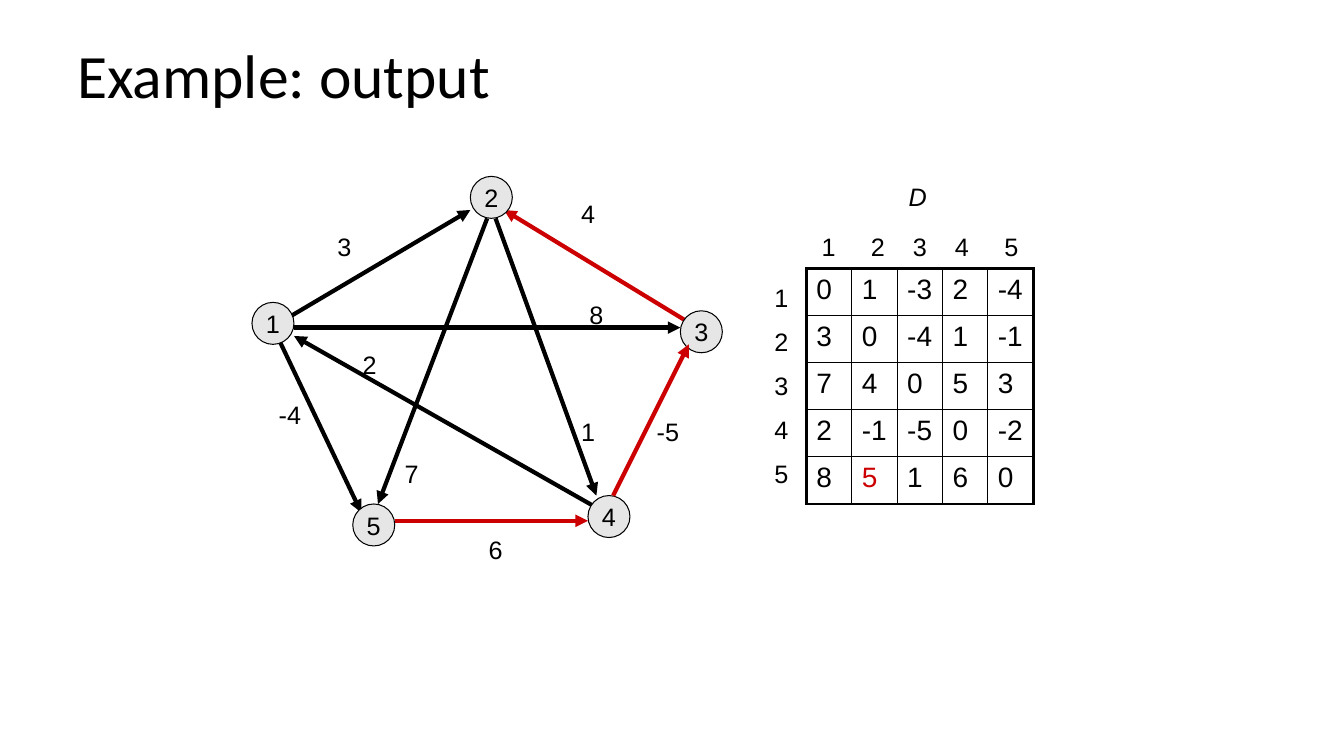
from dataclasses import dataclass
from lxml.etree import SubElement as Sub
from pptx import Presentation
from pptx.dml.color import RGBColor as Rgb
from pptx.enum.shapes import MSO_CONNECTOR as Conn, MSO_SHAPE as Kind
from pptx.enum.text import MSO_ANCHOR as Anchor, MSO_AUTO_SIZE as Fit, PP_ALIGN as Align
from pptx.oxml.ns import qn
from pptx.util import Emu, Pt


@dataclass(frozen=True)
class Theme:
    ink: str = "000000"
    red: str = "CC0000"
    node: str = "E7E6E6"
    head: str = "Calibri"
    body: str = "Arial"
    title: int = 44
    label: int = 18
    cell: int = 20
    gap: float = 9.8
    edge: float = 3
    ring: float = 0.75
    thin: float = 1
    thick: float = 2.25


T = Theme()
SIZE = 40
NODES = {2: (208, 8), 1: (0, 128), 5: (96, 320), 3: (408, 136), 4: (320, 312)}
# Each edge: start x, y, end x, y, colour
BACK = [
    (24, 160, 104, 328, T.ink),
    (424, 152, 240, 40, T.red),
    (336, 328, 40, 160, T.ink),
    (32, 144, 208, 40, T.ink),
]
FRONT = [
    (136, 336, 320, 336, T.red),
    (344, 312, 416, 168, T.red),
    (224, 48, 120, 320, T.ink),
    (232, 48, 328, 312, T.ink),
    (40, 152, 408, 152, T.ink),
]
# Each weight: text, x, y, width
WEIGHTS = [
    ("3", 72, 56, 40), ("4", 304, 24, 56), ("8", 312, 120, 40),
    ("-4", 16, 216, 56), ("6", 216, 344, 64), ("2", 96, 168, 32),
    ("1", 304, 232, 24), ("-5", 376, 232, 48), ("7", 136, 272, 32),
]
MATRIX = [
    [0, 1, -3, 2, -4],
    [3, 0, -4, 1, -1],
    [7, 4, 0, 5, 3],
    [2, -1, -5, 0, -2],
    [8, 5, 1, 6, 0],
]
FOUND = (4, 1)
STOPS = [13, 60, 100, 140, 187]


def px(n):
    return Emu(n * 9525)


def box(x, y, w, h):
    return [px(n) for n in (x, y, w, h)]


def write(para, text, size=T.label, color=T.ink, face=T.body):
    run = para.add_run()
    run.text = text
    run.font.size = Pt(size)
    run.font.name = face
    run.font.color.rgb = Rgb.from_string(color)
    return run


def label(slide, x, y, w, lines, h=38):
    frame = slide.shapes.add_textbox(*box(x, y, w, h)).text_frame
    frame.word_wrap = True
    frame.auto_size = Fit.SHAPE_TO_FIT_TEXT
    for i, line in enumerate(lines):
        para = frame.add_paragraph() if i else frame.paragraphs[0]
        para.space_before = Pt(T.gap)
        write(para, line)
    return frame.paragraphs[0]


def title(slide, x, y, w, h):
    head = slide.shapes.title
    head.left, head.top, head.width, head.height = box(x, y, w, h)
    frame = head.text_frame
    frame.auto_size = Fit.NONE
    frame.vertical_anchor = Anchor.MIDDLE
    para = frame.paragraphs[0]
    para.alignment = Align.LEFT
    para.line_spacing = 0.9
    write(para, "Example: output", T.title, face=T.head)


def arrow(slide, x1, y1, x2, y2, color):
    edge = slide.shapes.add_connector(Conn.STRAIGHT, *box(x1, y1, x2, y2))
    edge.line.color.rgb = Rgb.from_string(color)
    edge.line.width = Pt(T.edge)
    props = edge.element.spPr
    Sub(props.find(qn("a:ln")), qn("a:tailEnd"), type="triangle")
    Sub(props, qn("a:effectLst"))


def node(slide, name, x, y):
    disc = slide.shapes.add_shape(Kind.OVAL, *box(x, y, SIZE, SIZE))
    disc.shadow.inherit = False
    disc.fill.solid()
    disc.fill.fore_color.rgb = Rgb.from_string(T.node)
    disc.line.color.rgb = Rgb.from_string(T.ink)
    disc.line.width = Pt(T.ring)
    frame = disc.text_frame
    frame.word_wrap = False
    frame.vertical_anchor = Anchor.MIDDLE
    para = frame.paragraphs[0]
    para.alignment = Align.CENTER
    write(para, str(name))


def graph(slide, x, y):
    def edges(group):
        for x1, y1, x2, y2, color in group:
            arrow(slide, x + x1, y + y1, x + x2, y + y2, color)

    edges(BACK)
    for name, (dx, dy) in NODES.items():
        node(slide, name, x + dx, y + dy)
    edges(FRONT)
    for text, dx, dy, w in WEIGHTS:
        label(slide, x + dx, y + dy, w, [text])


def border(cell, side, width):
    line = Sub(cell._tc.get_or_add_tcPr(), qn("a:ln" + side), w=str(Pt(width)))
    fill = Sub(line, qn("a:solidFill"))
    Sub(fill, qn("a:srgbClr"), val=T.ink)


def matrix(slide, x, y, w, h):
    count = len(MATRIX)
    last = count - 1
    table = slide.shapes.add_table(count, count, *box(x, y, w, h)).table
    table.first_row = table.horz_banding = False
    for col in table.columns:
        col.width = px(w) // count
    for r, values in enumerate(MATRIX):
        table.rows[r].height = px(h) // count
        for c, value in enumerate(values):
            cell = table.cell(r, c)
            outer = {"L": c == 0, "R": c == last, "T": r == 0, "B": r == last}
            for side, rim in outer.items():
                border(cell, side, T.thick if rim else T.thin)
            cell.fill.background()
            color = T.red if (r, c) == FOUND else T.ink
            write(cell.text_frame.paragraphs[0], str(value), T.cell, color)

    names = [str(n + 1) for n in range(count)]
    heads = label(slide, x - 8, y - 40, 312, ["\t" + "\t".join(names)])
    tabs = Sub(heads._p.get_or_add_pPr(), qn("a:tabLst"))
    for stop in STOPS:
        Sub(tabs, qn("a:tab"), pos=str(px(stop)), algn="l")
    label(slide, x - 40, y + 8, 56, names, 212)
    label(slide, x + 88, y - 88, 72, ["D"]).runs[0].font.italic = True


def main():
    deck = Presentation()
    deck.slide_width, deck.slide_height = px(1280), px(720)
    slide = deck.slides.add_slide(deck.slide_layouts[5])
    title(slide, 64, 29, 1152, 91)
    graph(slide, 240, 160)
    matrix(slide, 768, 256, 216, 224)
    deck.save("out.pptx")


if __name__ == "__main__":
    main()
